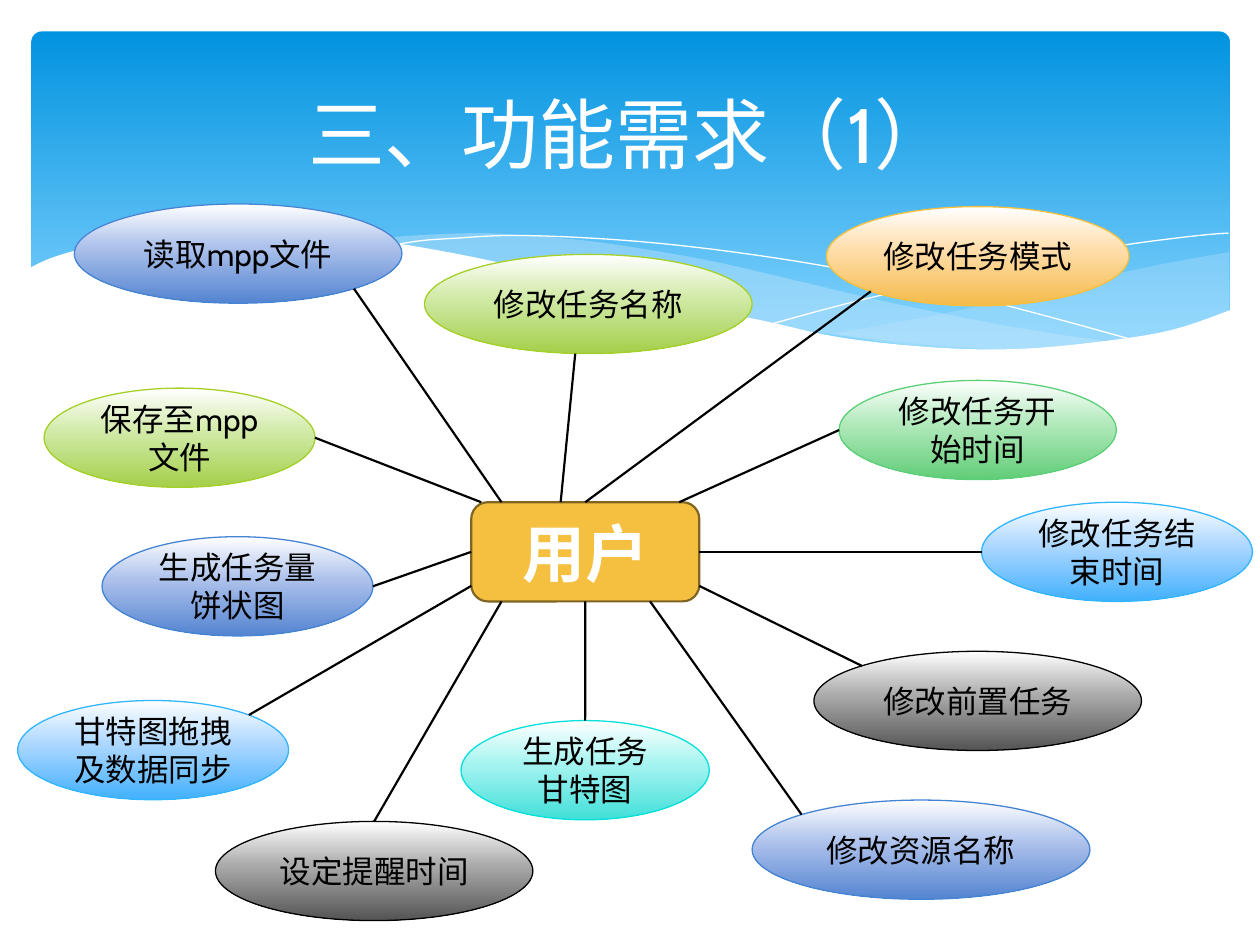
from dataclasses import dataclass, field
from math import sqrt

from lxml import etree
from pptx import Presentation
from pptx.dml.color import RGBColor
from pptx.enum.shapes import MSO_CONNECTOR, MSO_SHAPE
from pptx.enum.text import MSO_ANCHOR, PP_ALIGN
from pptx.oxml.ns import qn
from pptx.util import Pt

STRAIGHT = MSO_CONNECTOR.STRAIGHT
ELLIPSE, ROUNDED = MSO_SHAPE.OVAL, MSO_SHAPE.ROUNDED_RECTANGLE
CENTER, MIDDLE = PP_ALIGN.CENTER, MSO_ANCHOR.MIDDLE
TOP, LEFT, BOTTOM, RIGHT = range(4)


@dataclass
class Theme:
    white: str = "FFFFFF"
    black: str = "000000"
    haze: str = "C6E7FC"
    gold: str = "F5C040"
    gold_edge: str = "806421"
    sky: tuple = ((0, "0293E0"), (90, "83D3FE"))
    # bubble colour: (outline, middle of gradient, end of gradient)
    bubbles: dict = field(default_factory=lambda: {
        "grey": ("000000", "ABABAB", "545454"),
        "teal": ("05E0DB", "A5F4F0", "42DFD9"),
        "lime": ("A5D028", "D1EAA7", "A4CF4A"),
        "sky": ("31B6FD", "ACD7FF", "42B0FD"),
        "gold": ("F5C040", "FFDDAA", "F4BB4A"),
        "blue": ("4584D3", "ABC0EB", "5484D1"),
        "green": ("5BD078", "B1E9BB", "61CD78"),
    })
    title: dict = field(default_factory=lambda: {"name": "Cabin", "size": Pt(44)})
    hub: dict = field(default_factory=lambda: {"name": "Cabin", "size": Pt(36), "bold": True})
    label: dict = field(default_factory=lambda: {"name": "Cabin", "size": Pt(18)})


def smooth(points, steps=5):
    """Return points along a Catmull-Rom curve through the given points."""
    pts = [points[0], *points, points[-1]]
    curve = [points[0]]
    for a, b, c, d in zip(pts, pts[1:], pts[2:], pts[3:]):
        for i in range(1, steps + 1):
            t = i / steps
            curve.append(tuple(
                (2 * q + (r - p) * t + (2 * p - 5 * q + 4 * r - s) * t ** 2
                 + (3 * q - p - 3 * r + s) * t ** 3) / 2
                for p, q, r, s in zip(a, b, c, d)))
    return curve


class Deck:
    def __init__(self, prs, theme):
        self.theme = theme
        self.slide = prs.slides.add_slide(prs.slide_layouts[6])
        self.shapes = self.slide.shapes

    def paint(self, sp, fill=None, edge=None, width=0.75, alpha=None):
        """Set fill (a colour or gradient stops) and outline; None means none."""
        sp.shadow.inherit = False
        if fill is None:
            sp.fill.background()
        elif isinstance(fill, str):
            sp.fill.solid()
            sp.fill.fore_color.rgb = RGBColor.from_string(fill)
            if alpha:
                clr = sp._element.spPr.find(f"{qn('a:solidFill')}/{qn('a:srgbClr')}")
                etree.SubElement(clr, qn("a:alpha"), val=str(alpha * 1000))
        else:
            sp.fill.gradient()
            sp.fill.gradient_angle = 270
            stops = sp._element.spPr.find(f".//{qn('a:gsLst')}")
            for gs in list(stops):
                stops.remove(gs)
            for pos, color in fill:
                gs = etree.SubElement(stops, qn("a:gs"), pos=str(pos * 1000))
                etree.SubElement(gs, qn("a:srgbClr"), val=color)
        if edge is None:
            sp.line.fill.background()
        else:
            sp.line.color.rgb = RGBColor.from_string(edge)
            sp.line.width = Pt(width)

    def put_text(self, sp, text, font, color):
        tf = sp.text_frame
        tf.word_wrap, tf.vertical_anchor = True, MIDDLE
        p = tf.paragraphs[0]
        p.alignment = CENTER
        r = p.add_run()
        r.text = text
        for name, value in font.items():
            setattr(r.font, name, value)
        r.font.color.rgb = RGBColor.from_string(color)

    def title(self, text, *box):
        self.put_text(self.shapes.add_textbox(*map(Pt, box)), text,
                      self.theme.title, self.theme.white)

    def shape(self, kind, box, **look):
        sp = self.shapes.add_shape(kind, *map(Pt, box))
        self.paint(sp, **look)
        return sp

    def outline(self, points, close=True, **look):
        pts = [(Pt(x), Pt(y)) for x, y in points]
        fb = self.shapes.build_freeform(*pts[0])
        fb.add_line_segments(pts[1:], close=close)
        self.paint(fb.convert_to_shape(), **look)

    def bubble(self, text, color, *box):
        edge, mid, end = self.theme.bubbles[color]
        stops = ((0, self.theme.white), (44, mid), (100, end))
        sp = self.shape(ELLIPSE, box, fill=stops, edge=edge)
        self.put_text(sp, text, self.theme.label, self.theme.black)
        return sp

    def spoke(self, hub, start, bubble, direction):
        """Join the hub (a side, or an x, y point) to a bubble's rim."""
        dx, dy = direction
        end = (bubble.left + int(bubble.width * (1 + dx) / 2),
               bubble.top + int(bubble.height * (1 + dy) / 2))
        on_side = isinstance(start, int)
        begin = (hub.left, hub.top) if on_side else map(Pt, start)
        ln = self.shapes.add_connector(STRAIGHT, *begin, *end)
        if on_side:
            ln.begin_connect(hub, start)
        if direction == N:
            ln.end_connect(bubble, TOP)
        ln.line.color.rgb = RGBColor.from_string(self.theme.black)
        ln.line.width = Pt(1.25)
        etree.SubElement(ln._element.spPr, qn("a:effectLst"))


D = sqrt(0.5)
N, E, W = (0, -1), (1, 0), (-1, 0)
NE, NW, SE, SW = (D, -D), (-D, -D), (D, D), (-D, D)
NEAR_S = (-0.08, 1)
BUBBLE_H = 56.7

RIGHT_WAVE = (
    [(702.5, 144), (663, 151.2), (620, 160.6), (542, 178.6), (476, 190.8)],
    [(476, 190.8), (517.7, 195.8), (553.7, 198.7), (586, 200), (621.4, 198),
     (656.6, 192.2), (683.3, 185), (702.5, 177.8)])
MIDDLE_WAVE = (
    [(643, 196.6), (581, 187.2), (508.3, 172.8), (452.9, 159.8), (409.7, 149.8),
     (370, 142.6), (334.8, 137.5), (302.4, 134.6), (273.6, 133.2), (236, 134.6), (206, 137.5)],
    [(206, 137.5), (246.2, 143.3), (290.9, 151.9), (323.3, 159.8), (381.6, 172.8),
     (432.7, 183.6), (478.8, 191.5), (520, 197.3), (556.6, 199.4), (596.2, 200.2), (643, 196.6)])
THREADS = (
    [(222.5, 140.4), (241.2, 137.5), (261.4, 136.1), (288.7, 134.6), (324, 135.4),
     (367.2, 138.2), (419, 144), (478.8, 153.4), (547.2, 167.8), (598.3, 180.7), (653, 195.8)],
    [(441.4, 185), (483.8, 173.5), (538.6, 160.6), (601.9, 146.9), (644.4, 139.7),
     (684.7, 134.6), (702, 133.2)])
WHITE_CREST = [
    (703.4, 177.1), (669.6, 188.6), (630, 195.1), (582.5, 199.4), (535.7, 198.7),
    (481, 193), (434.2, 182.9), (380.9, 172.1), (321.8, 158.4), (262.8, 145.4),
    (210.2, 136.8), (165.6, 133.2), (127.4, 132.5), (95, 133.9), (68.4, 137.5),
    (48.2, 141.8), (28.8, 147.6), (16.6, 153.4)]
WHITE_BASE = [(16.6, 236.9), (703.4, 236.9)]

# text, colour, left, top, width, start on the hub, direction of the rim point
FEATURES = [
    ("修改前置任务", "grey", 465.1, 372.2, 187.2, (399.6, 334.8), NW),
    ("生成任务甘特图", "teal", 263.5, 411.8, 141.8, BOTTOM, N),
    ("保存至mpp文件", "lime", 25.2, 221.8, 154.8, (275, 287), E),
    ("设定提醒时间", "grey", 123.1, 469.4, 181.4, (286.6, 343.7), N),
    ("修改任务结束时间", "sky", 560.9, 287, 154.8, RIGHT, W),
    ("修改任务模式", "gold", 472.3, 118.1, 172.8, TOP, SW),
    ("修改资源名称", "blue", 429.8, 457.2, 193, (371.5, 343.7), NW),
    ("修改任务名称", "lime", 242.6, 145.4, 187.2, (320.4, 287), NEAR_S),
    ("甘特图拖拽及数据同步", "sky", 10.1, 400.3, 154.8, (269.3, 334.8), NE),
    ("生成任务量饼状图", "blue", 58.3, 306.7, 154.8, LEFT, E),
    ("读取mpp文件", "blue", 42.5, 116.6, 187.2, (286.6, 287), SE),
    ("修改任务开始时间", "green", 479.5, 217.4, 158.4, (388.1, 287), W),
]


def main():
    prs = Presentation()
    prs.slide_width, prs.slide_height = Pt(720), Pt(540)
    theme = Theme()
    deck = Deck(prs, theme)

    panel = deck.shape(ROUNDED, (18, 18, 684.7, 194.4), fill=theme.sky)
    panel.adjustments[0] = 0.03
    for (upper, lower), alpha in ((RIGHT_WAVE, 29), (MIDDLE_WAVE, 40)):
        deck.outline(smooth(upper) + smooth(lower), fill=theme.haze, alpha=alpha)
    for thread in THREADS:
        deck.outline(smooth(thread), close=False, edge=theme.white, width=0)
    deck.outline(smooth(WHITE_CREST) + WHITE_BASE, fill=theme.white)

    deck.title("三、功能需求（1）", 36, 26.6, 648, 98.6)
    hub = deck.shape(ROUNDED, (269.3, 287, 130.3, BUBBLE_H),
                     fill=theme.gold, edge=theme.gold_edge, width=1.25)
    deck.put_text(hub, "用户", theme.hub, theme.white)

    bubbles = [deck.bubble(text, color, x, y, w, BUBBLE_H)
               for text, color, x, y, w, _, _ in FEATURES]
    for bubble, (*_, start, direction) in zip(bubbles, FEATURES):
        deck.spoke(hub, start, bubble, direction)
    prs.save("out.pptx")


if __name__ == "__main__":
    main()
